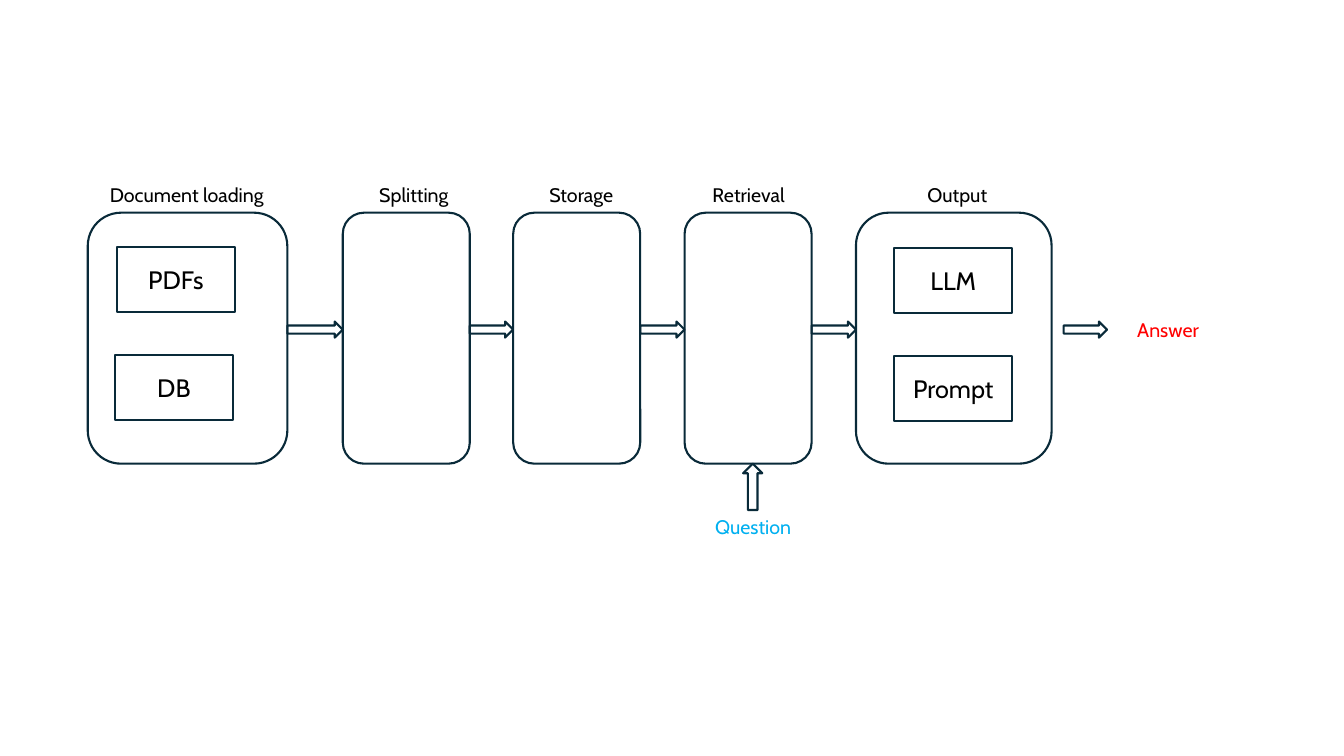
"""Draw a retrieval pipeline from document loading to answer."""
from pptx import Presentation
from pptx.dml.color import RGBColor
from pptx.enum import shapes, text
from pptx.util import Inches, Pt

NAVY = RGBColor(0x09, 0x2A, 0x39)
BLACK = RGBColor(0x00, 0x00, 0x00)
RED = RGBColor(0xFF, 0x00, 0x00)
BLUE = RGBColor(0x00, 0xB0, 0xF0)
MSO = shapes.MSO_SHAPE
ALIGN = text.PP_ALIGN

prs = Presentation()
prs.slide_width, prs.slide_height = Inches(13.33), Inches(7.5)
s = prs.slides.add_slide(prs.slide_layouts[6])


def add_outline(kind, x, y, w, h):
    sp = s.shapes.add_shape(kind, Inches(x), Inches(y), Inches(w), Inches(h))
    sp.shadow.inherit = False
    sp.fill.background()
    sp.line.color.rgb = NAVY
    sp.line.width = Pt(1.5)
    return sp


def write(sp, words, size=14, color=BLACK, align=ALIGN.CENTER, anchor=text.MSO_ANCHOR.TOP):
    tf = sp.text_frame
    tf.word_wrap = True
    tf.vertical_anchor = anchor
    p = tf.paragraphs[0]
    p.alignment = align
    r = p.add_run()
    r.text = words
    r.font.name = "Cabin"
    r.font.size = Pt(size)
    r.font.color.rgb = color


stages = [(0.87, 1.98), (3.4, 1.26), (5.09, 1.26), (6.79, 1.26), (8.49, 1.94)]
for x, w in stages:
    add_outline(MSO.ROUNDED_RECTANGLE, x, 2.11, w, 2.49)

labels = [
    ("Document loading", 0.99, 1.77, 1.79, BLACK, ALIGN.LEFT),
    ("Splitting", 3.21, 1.77, 1.79, BLACK, ALIGN.CENTER),
    ("Storage", 5.04, 1.77, 1.45, BLACK, ALIGN.CENTER),
    ("Retrieval", 6.7, 1.77, 1.45, BLACK, ALIGN.CENTER),
    ("Output", 8.77, 1.77, 1.45, BLACK, ALIGN.CENTER),
    ("Answer", 11.11, 3.11, 0.95, RED, ALIGN.CENTER),
    ("Question", 6.87, 5.06, 1.2, BLUE, ALIGN.CENTER),
]
for words, x, y, w, color, align in labels:
    sp = s.shapes.add_textbox(Inches(x), Inches(y), Inches(w), Inches(0.34))
    write(sp, words, color=color, align=align)
    sp.text_frame.auto_size = text.MSO_AUTO_SIZE.SHAPE_TO_FIT_TEXT

for (x, w), (next_x, _) in zip(stages, stages[1:]):
    add_outline(MSO.RIGHT_ARROW, x + w, 3.19, next_x - x - w, 0.16)
add_outline(MSO.RIGHT_ARROW, 10.55, 3.19, 0.43, 0.16)
add_outline(MSO.UP_ARROW, 7.37, 4.6, 0.19, 0.46)

boxes = [("PDFs", 1.16, 2.45), ("DB", 1.14, 3.52), ("LLM", 8.87, 2.46), ("Prompt", 8.87, 3.53)]
for words, x, y in boxes:
    sp = add_outline(MSO.RECTANGLE, x, y, 1.17, 0.65)
    write(sp, words, size=18, anchor=text.MSO_ANCHOR.MIDDLE)

prs.save("out.pptx")
